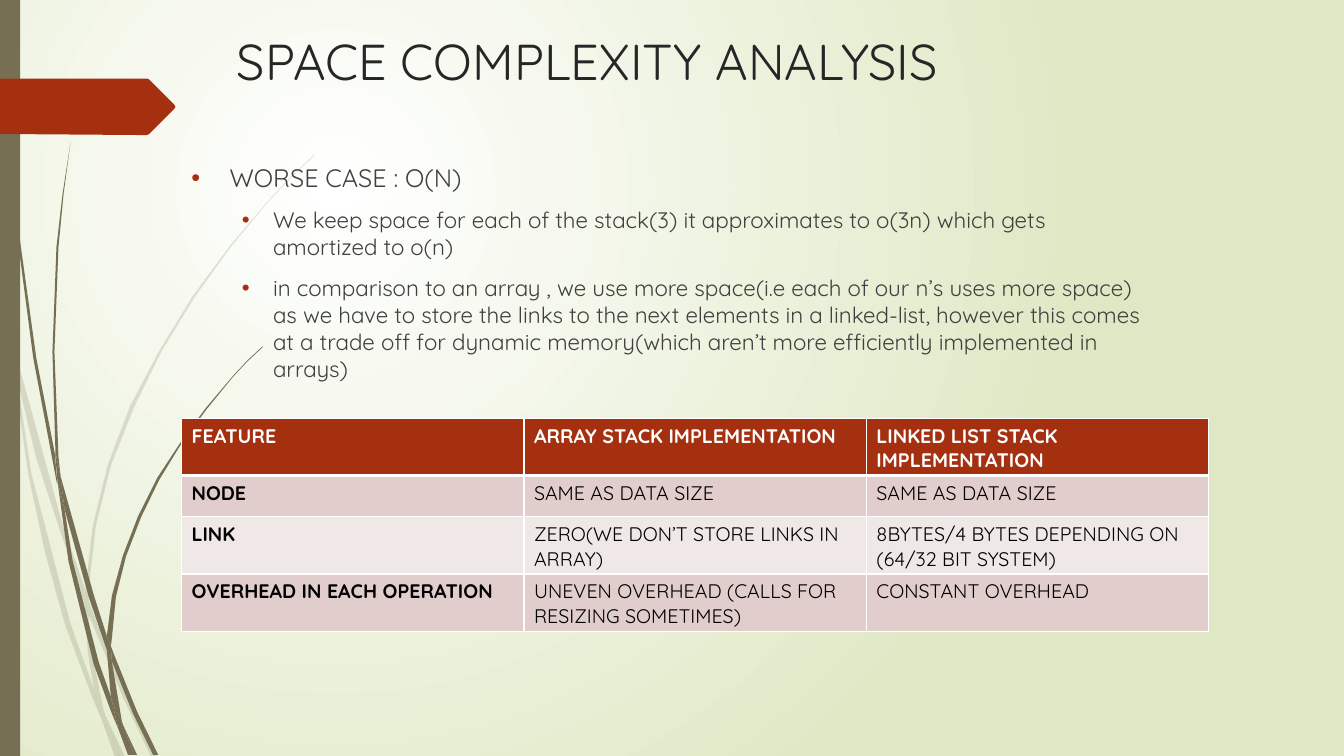
from dataclasses import dataclass

from lxml import etree
from pptx import Presentation
from pptx.dml.color import RGBColor
from pptx.enum.shapes import MSO_SHAPE
from pptx.enum.text import MSO_ANCHOR
from pptx.oxml.ns import qn
from pptx.util import Inches, Pt

RECTANGLE = MSO_SHAPE.RECTANGLE
TOP = MSO_ANCHOR.TOP


@dataclass(frozen=True)
class Theme:
    font: str = "Quicksand"
    accent: str = "A53010"
    stem: str = "766F54"
    white: str = "FFFFFF"
    meadow: str = "DFE8C4"
    heading: str = "262626"
    body: str = "404040"
    black: str = "000000"
    bands: tuple = ("E1CDCC", "F0E8E7")
    title_size: int = 36
    level_sizes: tuple = (18, 16)
    table_size: int = 14


# Outlines of the grass blades, in inches
PALE_GRASS = [
    [(0.11, 3.5), (0.09, 3.22), (0, 2.82), (0, 2.99), (0.1, 3.44)],
    [(0.58, 5.22), (0.84, 5.99), (0.85, 5.86), (0.62, 5.2), (0.14, 3.45), (0.17, 3.76), (0.36, 4.55)],
    [(0.92, 6.07), (0.88, 5.96), (0.88, 6.1), (1.23, 6.94), (1.5, 7.51), (1.55, 7.51), (1.27, 6.92)],
    [(1.19, 7.51), (1.24, 7.51), (1.05, 7.11)],
    [(0.93, 6.83), (0.7, 6.19), (0.31, 4.69), (0.17, 3.76), (0.11, 3.5), (0.28, 4.7), (0.45, 5.49),
     (0.65, 6.21), (0.92, 6.93), (1.01, 7.14), (0.99, 7.07)],
    [(0.84, 5.99), (0.87, 6.46), (0.93, 6.83), (0.96, 6.92), (1.05, 7.11), (1.03, 7.06), (0.91, 6.46),
     (0.88, 6.1), (0.88, 6.08)],
    [(0.88, 5.84), (0.95, 5.22), (1.1, 4.62), (1.33, 4.04), (1.6, 3.49), (1.93, 2.95), (2.29, 2.45),
     (2.68, 1.98), (2.9, 1.75), (3.12, 1.54), (3.12, 1.53), (2.89, 1.75), (2.68, 1.97), (2.28, 2.44),
     (1.91, 2.94), (1.58, 3.48), (1.29, 4.03), (1.07, 4.61), (0.92, 5.22), (0.85, 5.84), (0.85, 5.86),
     (0.88, 5.96)],
    [(1.01, 7.14), (1.14, 7.51), (1.19, 7.51)],
    [(0.88, 6.08), (0.88, 6.1), (0.88, 5.96), (0.85, 5.86), (0.84, 5.99)],
    [(0.96, 6.92), (0.93, 6.83), (0.99, 7.07), (1.01, 7.14), (1.19, 7.51), (1.05, 7.11)],
]
DARK_GRASS = [
    [(0.07, 1.1), (0.17, 2.33), (0.33, 3.55), (0.56, 4.77), (0.57, 4.81), (0.55, 4.57), (0.55, 4.53),
     (0.36, 3.55), (0.19, 2.32), (0.08, 1.09), (0.05, 0.48), (0.04, 0), (0.03, 0), (0.04, 0.48)],
    [(0.88, 5.92), (1.06, 6.45), (1.06, 6.31), (0.93, 5.9), (0.6, 4.72), (0.64, 5.05)],
    [(1.13, 6.49), (1.1, 6.41), (1.11, 6.56), (1.32, 7.08), (1.52, 7.49), (1.57, 7.49), (1.36, 7.06)],
    [(1.1, 6.91), (0.98, 6.57), (0.72, 5.56), (0.64, 5.05), (0.57, 4.77), (0.68, 5.57), (0.93, 6.59),
     (1.11, 7.08), (1.17, 7.22), (1.16, 7.17)],
    [(0.6, 4.72), (0.58, 4.53), (0.54, 3.49), (0.58, 2.45), (0.63, 1.93), (0.7, 1.41), (0.62, 1.93),
     (0.56, 2.45), (0.52, 3.49), (0.55, 4.49)],
    [(1.33, 7.49), (1.36, 7.49), (1.22, 7.19)],
    [(0.57, 4.77), (0.64, 5.05), (0.6, 4.72), (0.55, 4.49), (0.55, 4.53)],
    [(1.11, 6.33), (1.15, 5.92), (1.25, 5.52), (1.4, 5.13), (1.58, 4.76), (1.8, 4.4), (2.05, 4.06),
     (2.31, 3.74), (2.45, 3.59), (2.61, 3.44), (2.6, 3.44), (2.45, 3.58), (2.31, 3.73), (2.04, 4.05),
     (1.79, 4.39), (1.56, 4.74), (1.37, 5.12), (1.22, 5.51), (1.11, 5.91), (1.06, 6.31), (1.1, 6.41)],
    [(1.17, 7.22), (1.27, 7.49), (1.31, 7.49)],
    [(1.06, 6.45), (1.1, 6.91), (1.16, 7.06), (1.22, 7.19), (1.21, 7.16), (1.11, 6.56), (1.09, 6.51)],
    [(1.06, 6.45), (1.09, 6.51), (1.11, 6.56), (1.1, 6.41), (1.06, 6.31)],
    [(1.16, 7.06), (1.1, 6.91), (1.16, 7.17), (1.17, 7.22), (1.3, 7.49), (1.33, 7.49), (1.22, 7.19)],
]
ARROW_TAG = [(0, 0.78), (1.46, 0.78), (1.48, 0.79), (1.73, 1.04), (1.74, 1.06), (1.73, 1.08),
             (1.48, 1.33), (1.46, 1.34), (1.36, 1.34), (0, 1.33)]

# Text: (level, wording)
ANALYSIS = [
    (0, "WORSE CASE : O(N)"),
    (1, "We keep space for each of the stack(3) it approximates to o(3n) which gets amortized to o(n)"),
    (1, "in comparison to an array , we use more space(i.e each of our n’s uses more space) as we have "
        "to store the links to the next elements in a linked-list, however this comes at a trade off for "
        "dynamic memory(which aren’t more efficiently implemented in arrays)"),
]
COMPARISON = [
    ("FEATURE", "ARRAY STACK IMPLEMENTATION", "LINKED LIST STACK IMPLEMENTATION"),
    ("NODE", "SAME AS DATA SIZE", "SAME AS DATA SIZE"),
    ("LINK", "ZERO(WE DON’T STORE LINKS IN ARRAY)", "8BYTES/4 BYTES DEPENDING ON (64/32 BIT SYSTEM)"),
    ("OVERHEAD IN EACH OPERATION", "UNEVEN OVERHEAD (CALLS FOR RESIZING SOMETIMES)", "CONSTANT OVERHEAD"),
]


def add_xml(parent, tag, **attributes):
    return etree.SubElement(parent, qn(tag), attributes)


class SlideBuilder:
    def __init__(self, slide, theme):
        self.slide, self.theme = slide, theme

    def background(self, inner, outer):
        fill = self.slide.background.fill
        fill.gradient()
        for stop, color in zip(fill.gradient_stops, (inner, outer)):
            stop.color.rgb = RGBColor.from_string(color)
        gradient = self.slide.element.find(".//" + qn("a:gradFill"))
        gradient.remove(gradient.find(qn("a:lin")))
        circle = add_xml(gradient, "a:path", path="circle")
        add_xml(circle, "a:fillToRect", l="50000", t="50000", r="100000", b="100000")

    def paint(self, shape, color, opacity=100):
        shape.shadow.inherit = False
        shape.fill.solid()
        shape.fill.fore_color.rgb = RGBColor.from_string(color)
        shape.line.fill.background()
        if opacity < 100:
            add_xml(shape.element.find(".//" + qn("a:srgbClr")), "a:alpha", val=str(opacity * 1000))

    def bar(self, box, color):
        self.paint(self.slide.shapes.add_shape(RECTANGLE, *map(Inches, box)), color)

    def outline(self, points, color, opacity=100, group=None):
        start, *rest = [(Inches(x), Inches(y)) for x, y in points]
        builder = (group or self.slide).shapes.build_freeform(*start)
        builder.add_line_segments(rest, close=True)
        self.paint(builder.convert_to_shape(), color, opacity)

    def grass(self, blades, opacity=100):
        tuft = self.slide.shapes.add_group_shape()
        for blade in blades:
            self.outline(blade, self.theme.stem, opacity, tuft)

    def add_wording(self, paragraph, wording, size, color, bold=False):
        run = paragraph.add_run()
        run.text = wording
        style = {"name": self.theme.font, "size": Pt(size), "bold": bold}
        for key, value in style.items():
            setattr(run.font, key, value)
        run.font.color.rgb = RGBColor.from_string(color)

    def text_frame(self, box):
        frame = self.slide.shapes.add_textbox(*map(Inches, box)).text_frame
        for key, value in {"word_wrap": True, "vertical_anchor": TOP}.items():
            setattr(frame, key, value)
        return frame

    def title(self, box, wording):
        paragraph = self.text_frame(box).paragraphs[0]
        self.add_wording(paragraph, wording, self.theme.title_size, self.theme.heading)

    def bullets(self, box, items):
        frame = self.text_frame(box)
        indents = ((0.38, -0.38), (0.81, -0.31))
        for index, (level, wording) in enumerate(items):
            paragraph = frame.add_paragraph() if index else frame.paragraphs[0]
            for key, value in {"level": level, "space_before": Pt(10)}.items():
                setattr(paragraph, key, value)
            self.add_wording(paragraph, wording, self.theme.level_sizes[level], self.theme.body)
            properties = paragraph._p.get_or_add_pPr()
            for key, value in zip(("marL", "indent"), indents[level]):
                properties.set(key, str(Inches(value)))
            add_xml(add_xml(properties, "a:buClr"), "a:srgbClr", val=self.theme.accent)
            add_xml(properties, "a:buFont", typeface="Arial")
            add_xml(properties, "a:buChar", char="•")

    def borders(self, cell, widths):
        properties = cell._tc.get_or_add_tcPr()
        for position, (side, width) in enumerate(widths.items()):
            edge = etree.Element(qn(f"a:ln{side}"), {"w": str(Pt(width))})
            add_xml(add_xml(edge, "a:solidFill"), "a:srgbClr", val=self.theme.white)
            properties.insert(position, edge)

    def table(self, box, rows, heights):
        theme = self.theme
        table = self.slide.shapes.add_table(len(rows), len(rows[0]), *map(Inches, box)).table
        for r, (row, height) in enumerate(zip(rows, heights)):
            table.rows[r].height = Inches(height)
            fill = theme.bands[(r - 1) % 2] if r else theme.accent
            for c, wording in enumerate(row):
                cell = table.cell(r, c)
                cell.fill.solid()
                cell.fill.fore_color.rgb = RGBColor.from_string(fill)
                self.add_wording(cell.text_frame.paragraphs[0], wording, theme.table_size,
                                 theme.black if r else theme.white, bold=r == 0 or c == 0)
                self.borders(cell, {"L": 1, "R": 1, "T": 3 if r == 1 else 1, "B": 1 if r else 3})


def main():
    deck = Presentation()
    deck.slide_width, deck.slide_height = Inches(13.33), Inches(7.5)
    theme = Theme()
    page = SlideBuilder(deck.slides.add_slide(deck.slide_layouts[6]), theme)

    # Backdrop
    page.background(theme.white, theme.meadow)
    page.grass(PALE_GRASS, opacity=20)
    page.grass(DARK_GRASS)
    page.bar((0, 0, 0.2, 7.5), theme.stem)
    page.outline(ARROW_TAG, theme.accent)

    # Content
    page.title((2.25, 0.25, 9.75, 1.4), "SPACE COMPLEXITY ANALYSIS")
    page.bullets((1.8, 1.56, 9.75, 2.6), ANALYSIS)
    page.table((1.8, 4.15, 10.19, 1.78), COMPARISON, (0.55, 0.41, 0.41, 0.41))
    deck.save("out.pptx")


if __name__ == "__main__":
    main()
